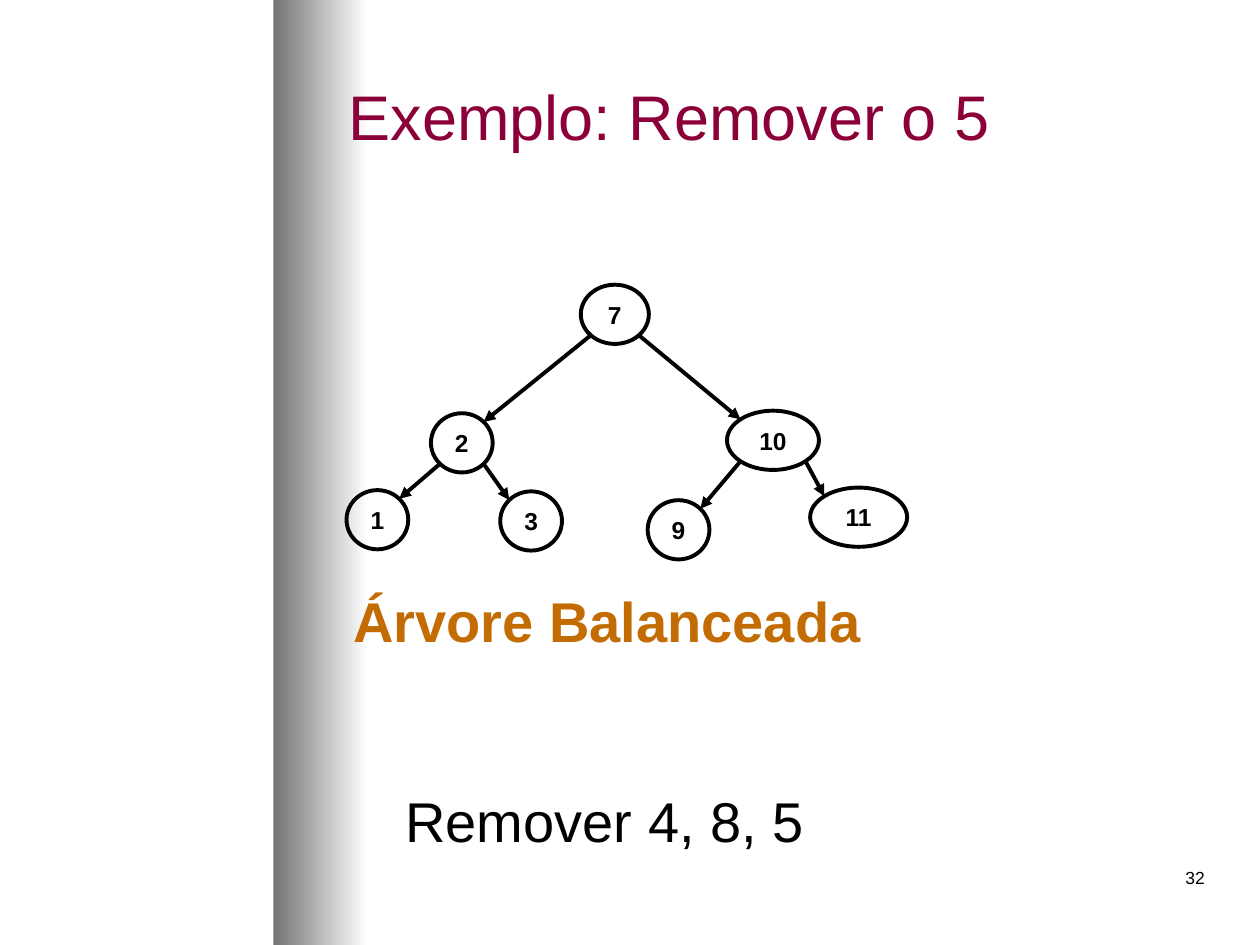
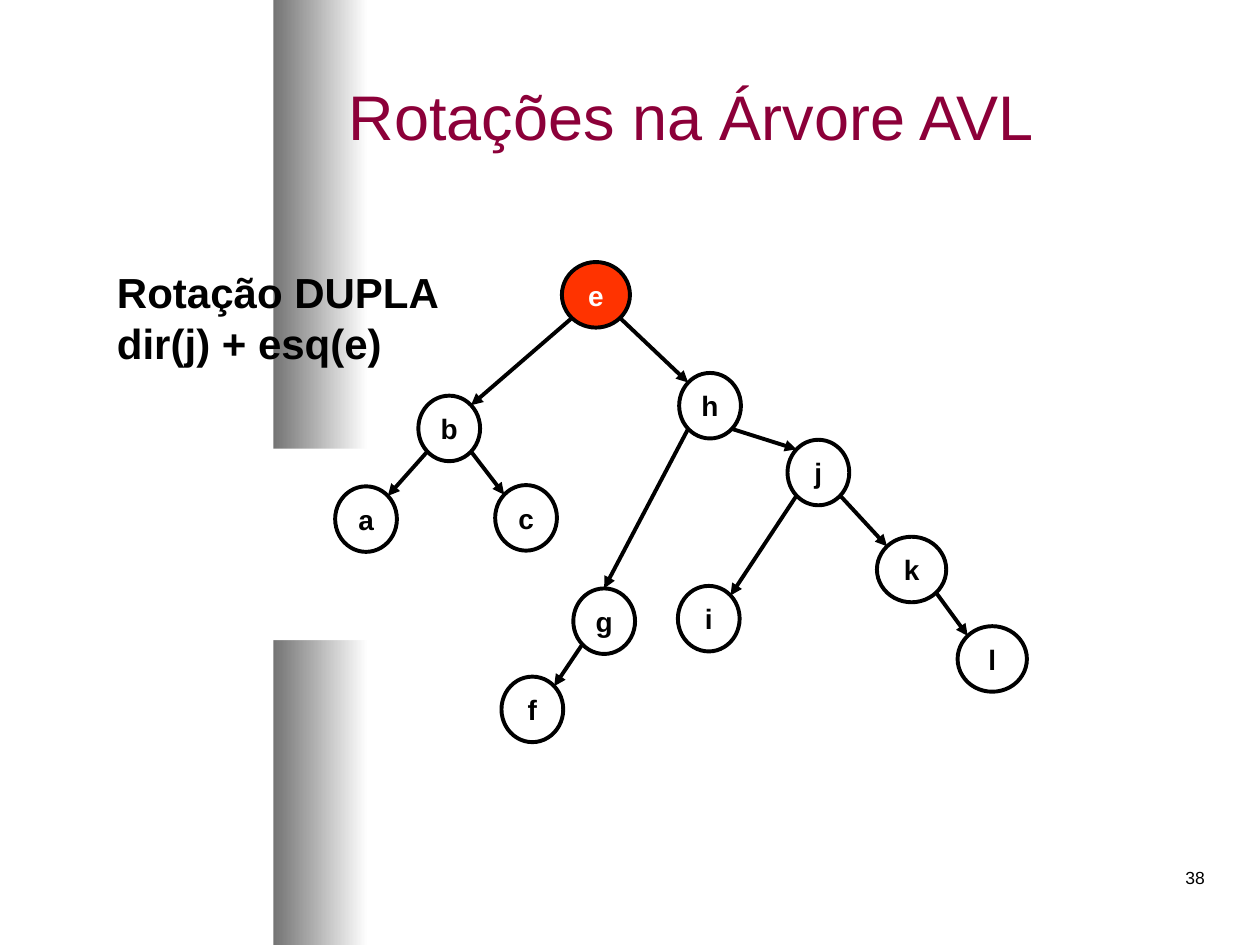
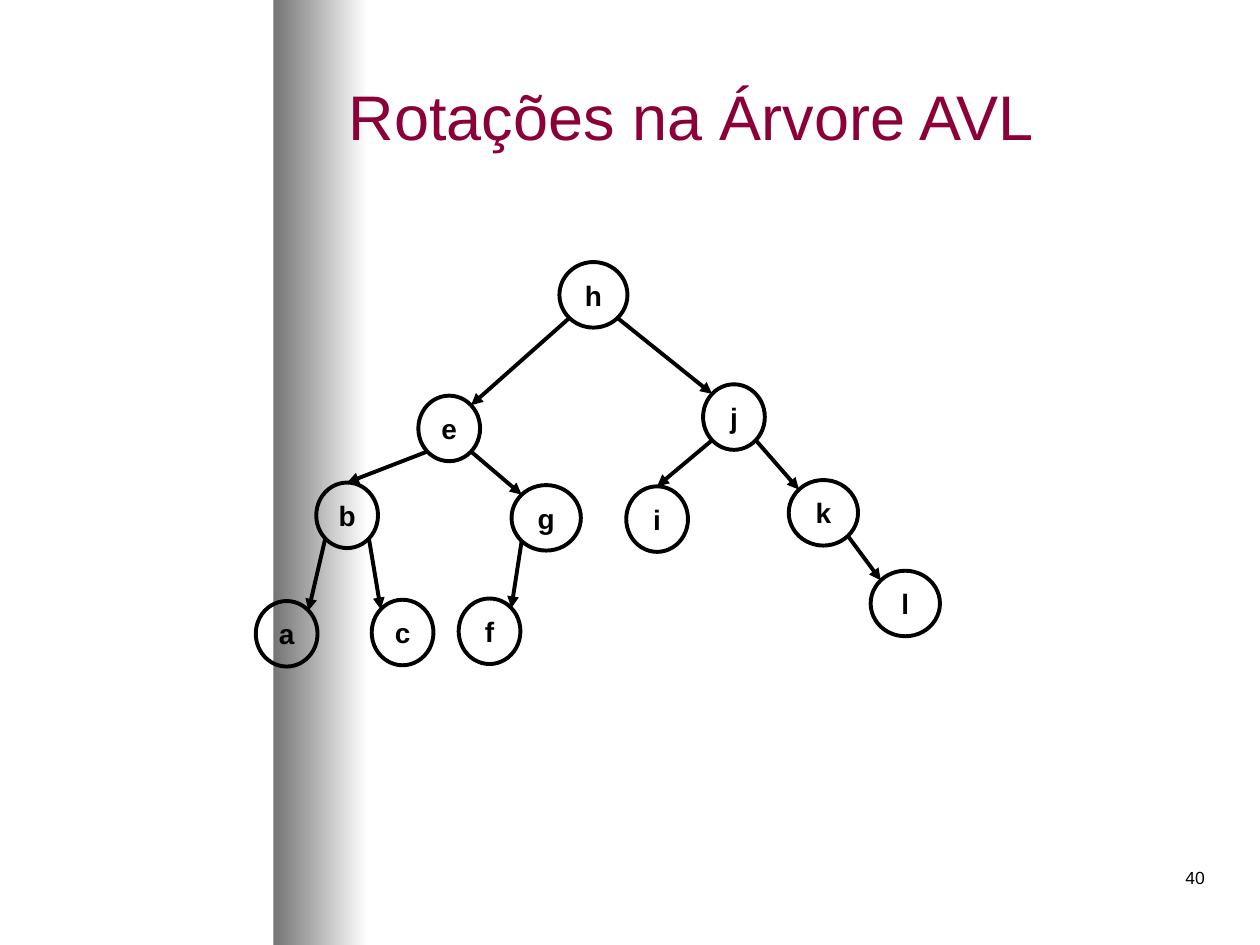
from dataclasses import dataclass
from math import sqrt

from lxml.etree import SubElement
from pptx import Presentation
from pptx.dml.color import RGBColor
from pptx.enum.shapes import MSO_CONNECTOR, MSO_SHAPE
from pptx.enum.text import MSO_ANCHOR, PP_ALIGN
from pptx.oxml.ns import qn
from pptx.util import Inches, Pt


@dataclass(frozen=True)
class Theme:
    font: str = "Arial"
    ink: str = "000000"
    paper: str = "FFFFFF"
    title: str = "8C0039"
    accent: str = "C36C03"
    alert: str = "FF3300"
    band: str = "747474"
    title_size: int = 36
    big_size: int = 32
    note_size: int = 24
    page_size: int = 10
    stroke: float = 2.25


THEME = Theme()
COLS, ROWS = 100, 75
WIDTH, HEIGHT = Inches(10), Inches(7.5)


def rgb(value):
    return RGBColor.from_string(value)


def write(tf, text, *, size, color=THEME.ink, bold=False,
          align=PP_ALIGN.LEFT, anchor=MSO_ANCHOR.TOP, wrap=True):
    tf.word_wrap = wrap
    tf.vertical_anchor = anchor
    p = tf.paragraphs[0]
    p.alignment = align
    r = p.add_run()
    r.text = text
    r.font.name = THEME.font
    r.font.size = Pt(size)
    r.font.bold = bold
    r.font.color.rgb = rgb(color)


class Deck:
    def __init__(self):
        self.prs = Presentation()
        self.prs.slide_width, self.prs.slide_height = WIDTH, HEIGHT
        self.s = None

    def grid(self, *lengths):
        units = (WIDTH / COLS, HEIGHT / ROWS)
        return [round(n * units[i % 2]) for i, n in enumerate(lengths)]

    def slide(self, title, number):
        self.s = self.prs.slides.add_slide(self.prs.slide_layouts[6])
        band = self.shape(MSO_SHAPE.RECTANGLE, 21.7, 0, 7.5, ROWS)
        band.fill.gradient()
        band.fill.gradient_angle = 0
        for stop, color, position in zip(band.fill.gradient_stops,
                                         (THEME.band, THEME.paper), (0, 1)):
            stop.color.rgb = rgb(color)
            stop.position = position
        self.text(number, 75.8, 68.3, 20.8, 5, size=THEME.page_size, align=PP_ALIGN.RIGHT)
        self.text(title, 26.7, 2.5, 70, 13.3, size=THEME.title_size,
                  color=THEME.title, anchor=MSO_ANCHOR.MIDDLE)

    def shape(self, kind, x, y, w, h, fill=None):
        sp = self.s.shapes.add_shape(kind, *self.grid(x, y, w, h))
        sp.shadow.inherit = False
        sp.line.fill.background()
        if fill:
            sp.fill.solid()
            sp.fill.fore_color.rgb = rgb(fill)
        else:
            sp.fill.background()
        return sp

    def text(self, text, x, y, w, h, **style):
        write(self.s.shapes.add_textbox(*self.grid(x, y, w, h)).text_frame, text, **style)

    def node(self, label, x, y, w, h, size, fill=None):
        sp = self.shape(MSO_SHAPE.OVAL, x, y, w, h, fill)
        sp.line.color.rgb = rgb(THEME.ink)
        sp.line.width = Pt(THEME.stroke)
        tf = sp.text_frame
        tf.margin_left = tf.margin_right = tf.margin_top = tf.margin_bottom = 0
        write(tf, label, size=size, bold=True, align=PP_ALIGN.CENTER,
              color=THEME.paper if fill == THEME.alert else THEME.ink,
              anchor=MSO_ANCHOR.MIDDLE, wrap=False)
        return sp

    def diagonal(self, sp, dx, dy):
        return (round(sp.left + sp.width / 2 * (1 + dx / sqrt(2))),
                round(sp.top + sp.height / 2 * (1 + dy / sqrt(2))))

    def edge(self, parent, child, to_top=False):
        side = 1 if child.left + child.width / 2 > parent.left + parent.width / 2 else -1
        cx = self.s.shapes.add_connector(MSO_CONNECTOR.STRAIGHT,
                                         *self.diagonal(parent, side, 1),
                                         *self.diagonal(child, -side, -1))
        if to_top:
            cx.end_connect(child, 0)
        cx.line.color.rgb = rgb(THEME.ink)
        cx.line.width = Pt(THEME.stroke)
        SubElement(cx.line._get_or_add_ln(), qn("a:tailEnd"), type="triangle")
        SubElement(cx._element.spPr, qn("a:effectLst"))

    def tree(self, nodes, edges, h=5.2, size=16, fills={}, tops=""):
        ovals = {label: self.node(label, x, y, w, h, size, fills.get(label))
                 for label, (x, y, w) in nodes.items()}
        for pair in edges.split():
            parent, child = pair.split(">")
            self.edge(ovals[parent], ovals[child], child in tops)


def main():
    deck = Deck()

    deck.slide("Exemplo: Remover o 5", "32")
    deck.tree({"7": (46.1, 22.6, 5.4), "2": (34.2, 32.8, 4.9), "10": (57.7, 32.6, 7.3),
               "1": (27.5, 38.9, 4.9), "3": (39.7, 39, 4.9), "9": (51.4, 39.7, 4.9),
               "11": (64.3, 38.7, 7.7)},
              "7>2 7>10 2>1 2>3 10>9 10>11", h=4.7, size=14, fills={"2": THEME.paper})
    deck.text("Árvore Balanceada", 24.2, 46.1, 48, 6.4, size=THEME.big_size,
              color=THEME.accent, bold=True, align=PP_ALIGN.CENTER)
    deck.text("Remover 4, 8, 5", 24, 61.9, 48, 6.4, size=THEME.big_size, align=PP_ALIGN.CENTER)

    deck.slide("Rotações na Árvore AVL", "38")
    deck.shape(MSO_SHAPE.RECTANGLE, 18.8, 35.6, 15.4, 15.2, THEME.paper)
    deck.tree({"e": (44.6, 20.8, 5.4), "b": (33.2, 31.4, 4.9), "h": (53.9, 29.6, 4.9),
               "a": (26.6, 38.6, 4.9), "c": (39.3, 38.5, 4.9), "g": (45.5, 46.7, 4.9),
               "j": (62.5, 34.9, 4.9), "f": (39.8, 53.7, 4.9), "i": (53.8, 46.5, 4.9),
               "k": (69.6, 42.6, 5.5), "l": (76, 49.7, 5.5)},
              "e>b e>h b>a b>c h>g h>j g>f j>i j>k k>l",
              fills={"e": THEME.alert, "b": THEME.paper}, tops="g")
    deck.text("Rotação DUPLA dir(j) + esq(e)", 8.3, 20.7, 29.9, 9, size=THEME.note_size, bold=True)

    deck.slide("Rotações na Árvore AVL", "40")
    deck.tree({"h": (44.4, 20.8, 5.4), "e": (33.2, 31.4, 4.9), "j": (55.8, 30.5, 4.9),
               "b": (25.1, 38.3, 4.9), "g": (40.6, 38.5, 5.5), "i": (49.7, 38.6, 4.9),
               "k": (62.6, 38.1, 5.5), "a": (20.3, 47.7, 4.9), "c": (29.5, 47.6, 4.9),
               "f": (36.4, 47.5, 4.9), "l": (69.1, 45.3, 5.5)},
              "h>e h>j e>b e>g j>i j>k b>a b>c g>f k>l", tops="bi")

    deck.prs.save("out.pptx")


if __name__ == "__main__":
    main()
